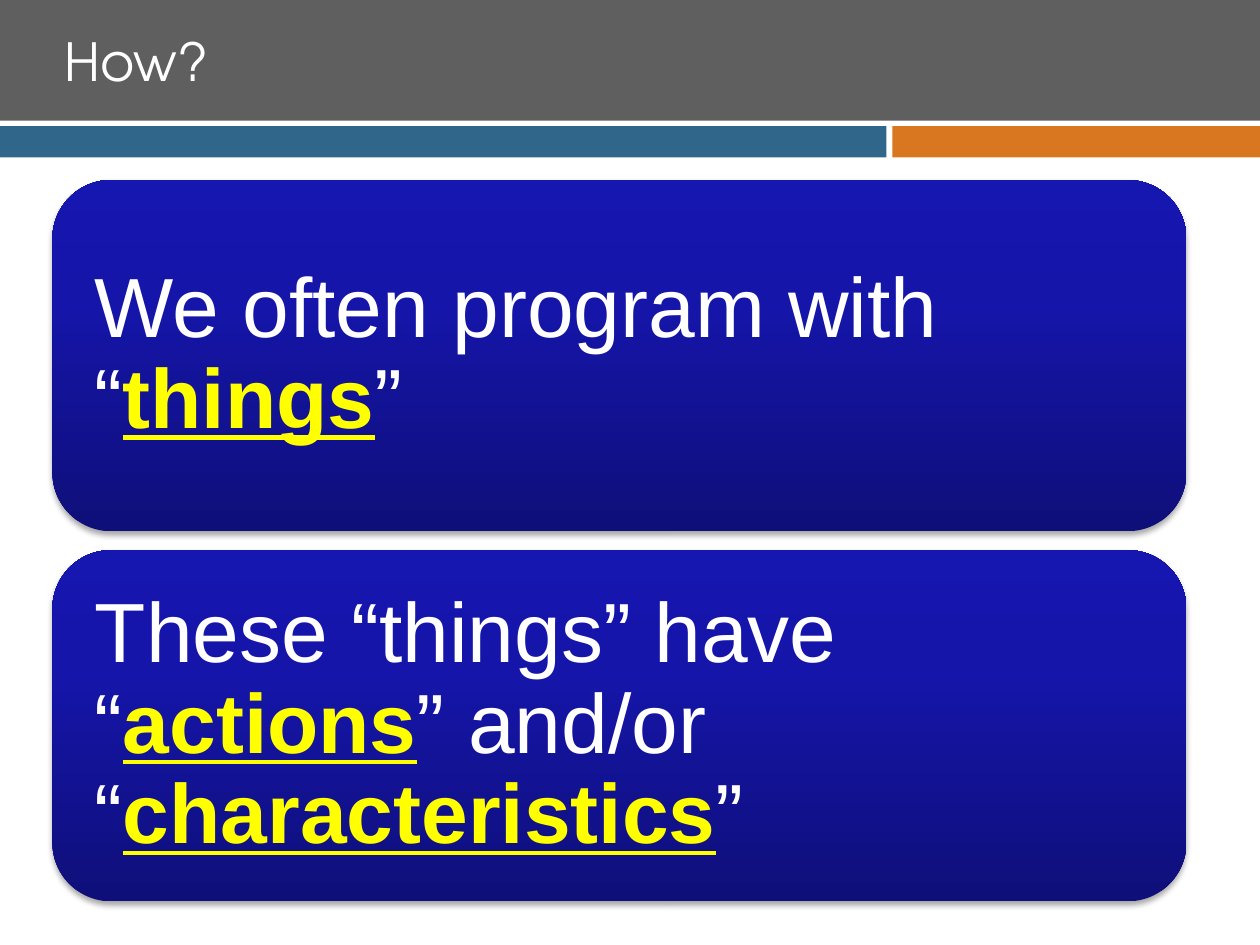
from dataclasses import dataclass

from lxml import etree
from pptx import Presentation
from pptx import util as u
from pptx.dml.color import RGBColor
from pptx.enum import shapes, text
from pptx.oxml.ns import qn


@dataclass(frozen=True)
class Theme:
    white: str = "FFFFFF"
    black: str = "000000"
    gray: str = "5F5F5F"
    blue: str = "31668B"
    orange: str = "D8771F"
    key: str = "FFFF00"
    grade: tuple = ((0, "0F0F7A"), (65, "1515A9"), (100, "1616B1"))
    head: str = "TeX Gyre Adventor"
    body: str = "Arial"
    head_size: int = 30
    body_size: int = 48


def color(code):
    return RGBColor.from_string(code)


def node(parent, tag, **attrs):
    return etree.SubElement(parent, qn(tag), {k: str(v) for k, v in attrs.items()})


class Deck:
    def __init__(self, theme, wide, high):
        self.theme = theme
        self.file = Presentation()
        self.file.slide_width, self.file.slide_height = u.Pt(wide), u.Pt(high)
        self.slide = self.file.slides.add_slide(self.file.slide_layouts[6])

    def shape(self, kind, box):
        item = self.slide.shapes.add_shape(kind, *map(u.Pt, box))
        item.shadow.inherit = False
        item.line.fill.background()
        return item

    def bar(self, box, fill):
        item = self.shape(shapes.MSO_SHAPE.RECTANGLE, box)
        item.fill.solid()
        item.fill.fore_color.rgb = color(fill)

    def shade(self, effects, blur, dist, angle, alpha):
        """Add an outer shadow; angle in degrees, alpha in percent."""
        outer = node(effects, "a:outerShdw", blurRad=u.Pt(blur), dist=u.Pt(dist),
                     dir=angle * 60000, algn="tl", rotWithShape=0)
        tint = node(outer, "a:srgbClr", val=self.theme.black)
        node(tint, "a:alpha", val=alpha * 1000)

    def label(self, box, inset):
        """Add an empty wrapped, middle-anchored text box."""
        frame = self.slide.shapes.add_textbox(*map(u.Pt, box)).text_frame
        frame.word_wrap = True
        frame.vertical_anchor = text.MSO_ANCHOR.MIDDLE
        frame.margin_left = frame.margin_right = u.Pt(inset[0])
        frame.margin_top = frame.margin_bottom = u.Pt(inset[1])
        return frame.paragraphs[0]

    def title(self, box, words):
        para = self.label(box, (7.2, 3.6))
        run = para.add_run()
        run.text = words
        run.font.size = u.Pt(self.theme.head_size)
        run.font.name = self.theme.head
        run.font.color.rgb = color(self.theme.white)
        effects = etree.Element(qn("a:effectLst"))
        run.font.fill._xPr.find(qn("a:solidFill")).addnext(effects)
        self.shade(effects, 0, 2.5, 45, 100)

    def card(self, box, parts):
        """Add a shaded card; every second part of its text is a key word."""
        item = self.shape(shapes.MSO_SHAPE.ROUNDED_RECTANGLE, box)
        item.fill.gradient()
        item.fill.gradient_angle = 90
        props = item._element.spPr
        stops = props.find(qn("a:gradFill")).find(qn("a:gsLst"))
        for stop in list(stops):
            stops.remove(stop)
        for place, code in self.theme.grade:
            node(node(stops, "a:gs", pos=place * 1000), "a:srgbClr", val=code)
        self.shade(props.find(qn("a:effectLst")), 3.1, 2, 90, 35)

        left, top, wide, high = box
        pad = 9.8
        para = self.label((left + pad, top + pad, wide - 2 * pad, high - 2 * pad),
                          (14.4, 14.4))
        para.line_spacing = 0.9
        para.font.size = u.Pt(self.theme.body_size)
        para.font.name = self.theme.body
        for i, part in enumerate(parts):
            run = para.add_run()
            run.text = part
            is_key = i % 2 == 1
            run.font.color.rgb = color(self.theme.key if is_key else self.theme.white)
            if is_key:
                run.font.bold = run.font.underline = True

    def save(self):
        self.file.save("out.pptx")


def main():
    theme = Theme()
    deck = Deck(theme, 720, 540)
    deck.bar((0, 0, 720, 69), theme.gray)
    deck.bar((510, 72, 210, 18), theme.orange)
    deck.bar((0, 72, 506.5, 18), theme.blue)
    deck.title((30, 6, 684, 57.6), "How?")

    cards = (
        ("We often program with “", "things", "”"),
        ("These “things” have “", "actions", "” and/or “", "characteristics", "”"),
    )
    high, gap = 200.7, 10.8
    for i, parts in enumerate(cards):
        deck.card((30, 102.9 + i * (high + gap), 648, high), parts)
    deck.save()


if __name__ == "__main__":
    main()
